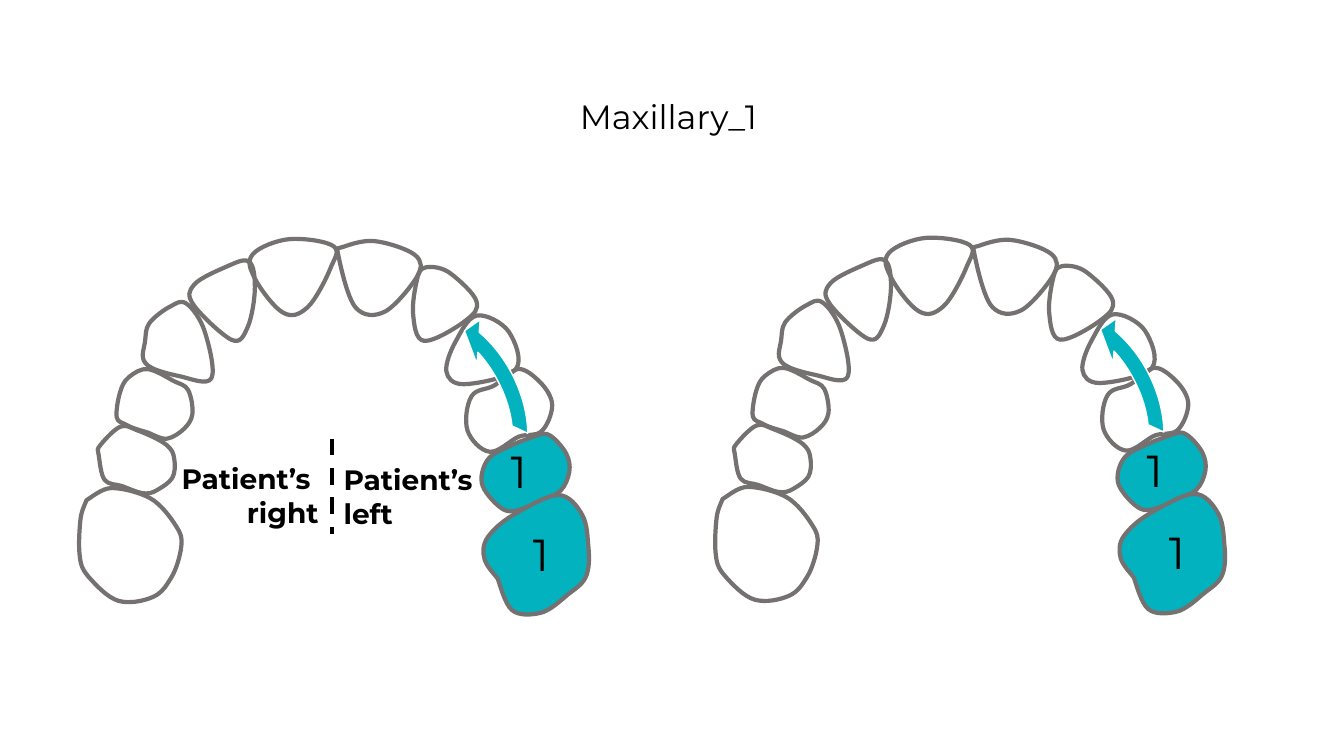
"""Build the Maxillary_1 slide: two upper dental arches with the left back teeth marked."""
from lxml.etree import Element, SubElement
from pptx import Presentation
from pptx.dml.color import RGBColor
from pptx.enum.dml import MSO_LINE_DASH_STYLE as Dash
from pptx.enum.shapes import MSO_CONNECTOR as Connector, MSO_SHAPE as Shape
from pptx.enum.text import MSO_ANCHOR as Anchor, MSO_AUTO_SIZE as AutoSize, PP_ALIGN as Align
from pptx.oxml.ns import qn
from pptx.util import Cm, Pt

COLOURS = {"ink": "000000", "outline": "767171", "marked": "02B2BE", "edge": "FFFFFF"}
HUNDREDTH_INCH = Cm(2.54) / 100

# Points that each smooth outline passes through, in hundredths of an inch from
# the arch's corner. A point given twice in a row is a sharp corner.
TEETH = {
    "left central incisor": [(271, 44), (267, 53), (284, 104), (313, 108), (345, 73),
                             (343, 52), (302, 38)],
    "left lateral incisor": [(345, 76), (341, 110), (352, 137), (393, 117), (404, 98),
                             (378, 70), (354, 64)],
    "left canine": [(374, 167), (383, 138), (404, 112), (436, 128), (443, 165), (391, 180)],
    "left first premolar": [(445, 165), (422, 181), (399, 192), (395, 226), (417, 247),
                            (446, 232), (468, 227), (479, 201), (467, 178)],
    "left second premolar": [(438, 241), (415, 255), (410, 281), (432, 305), (454, 302),
                             (468, 295), (487, 286), (496, 267), (493, 249), (477, 231),
                             (464, 231)],
    "left molar": [(440, 310), (415, 332), (412, 354), (425, 373), (425, 373), (439, 404),
                   (467, 407), (493, 390), (512, 372), (515, 342), (509, 310), (485, 290)],
    "right central incisor": [(262, 43), (259, 65), (236, 104), (212, 109), (184, 75),
                              (182, 51), (219, 36)],
    "right lateral incisor": [(124, 81), (123, 101), (161, 136), (177, 123), (184, 84),
                              (179, 59), (159, 62)],
    "right canine": [(75, 138), (73, 154), (82, 164), (109, 172), (141, 174), (134, 127),
                     (116, 100), (100, 103), (79, 120)],
    "right first premolar": [(50, 189), (59, 173), (78, 165), (102, 176), (118, 186),
                             (122, 210), (114, 224), (97, 234), (78, 228), (78, 228),
                             (58, 221), (47, 213)],
    "right second premolar": [(29, 250), (31, 240), (51, 222), (68, 226), (96, 240),
                              (104, 254), (102, 273), (87, 285), (72, 288), (52, 281),
                              (35, 275)],
    "right molar": [(10, 348), (19, 371), (49, 395), (83, 391), (101, 372), (111, 341),
                    (106, 321), (80, 293), (42, 283), (17, 295), (17, 295), (11, 314)],
}
MARKED_NUMBERS = {
    "left second premolar": (Cm(10.87), Cm(5.94)),
    "left molar": (Cm(11.43), Cm(8.03)),
}
ARCH_CORNERS = [(Cm(17.78), Cm(5.08)), (Cm(1.75), Cm(5.11))]
ARROW_BENDS = [0.107, 8.273, 189.005, 130.563, 0.152]
SIDE_LABELS = [
    (["Patient’s ", "right"], Cm(2.67), Cm(11.51), Cm(5.61), Align.RIGHT),
    (["Patient’s", "left"], Cm(8.41), Cm(11.53), Cm(3.91), Align.LEFT),
]
TITLE_PLACE = {"left": Cm(14.35), "top": Cm(2.29), "width": Cm(5.21), "height": Cm(1.27)}
TITLE_FONT = {"name": "Montserrat", "size": Pt(24), "bold": False}
NUMBER_FONT = {"name": "Montserrat", "size": Pt(32), "bold": False}
LABEL_FONT = {"name": "Montserrat", "size": Pt(20), "bold": True}
FRAME_FORMAT = {"word_wrap": True, "auto_size": AutoSize.SHAPE_TO_FIT_TEXT,
                "vertical_anchor": Anchor.TOP}


def colour(name):
    """Return the named colour."""
    return RGBColor.from_string(COLOURS[name])


def write(frame, lines, font_format, align):
    """Fill a text frame with formatted paragraphs."""
    for key, value in FRAME_FORMAT.items():
        setattr(frame, key, value)
    frame.text = "\n".join(lines)
    for paragraph in frame.paragraphs:
        paragraph.alignment = align
        font = paragraph.runs[0].font
        for key, value in font_format.items():
            setattr(font, key, value)
        font.color.rgb = colour("ink")


deck = Presentation()
deck.slide_width, deck.slide_height = Cm(33.87), Cm(19.05)
slide = deck.slides.add_slide(deck.slide_layouts[5])

title = slide.shapes.title
for key, value in TITLE_PLACE.items():
    setattr(title, key, value)
write(title.text_frame, ["Maxillary_1 "], TITLE_FONT, Align.CENTER)

for arch_left, arch_top in ARCH_CORNERS:
    arch = slide.shapes.add_group_shape().shapes

    for tooth_name, outline in TEETH.items():
        curve_points = []
        for index, start in enumerate(outline):
            before = outline[index - 1]
            end, after = [outline[(index + step) % len(outline)] for step in (1, 2)]
            if start != end:
                leaving = [s + (e - b) / 6 for s, e, b in zip(start, end, before)]
                arriving = [e - (a - s) / 6 for e, a, s in zip(end, after, start)]
                curve_points += [leaving, arriving, end]

        builder = arch.build_freeform(*outline[0], scale=HUNDREDTH_INCH)
        builder.add_line_segments(curve_points, close=True)
        tooth = builder.convert_to_shape(arch_left, arch_top)
        segments = list(tooth._element.iter(qn("a:lnTo")))
        for first in range(0, len(segments), 3):
            curve = Element(qn("a:cubicBezTo"))
            segments[first].addprevious(curve)
            for segment in segments[first:first + 3]:
                curve.append(segment[0])
                segment.getparent().remove(segment)

        tooth.shadow.inherit = False
        tooth.line.color.rgb, tooth.line.width = colour("outline"), Pt(3)
        if tooth_name in MARKED_NUMBERS:
            tooth.fill.solid()
            tooth.fill.fore_color.rgb = colour("marked")
        else:
            tooth.fill.background()

    for number_left, number_top in MARKED_NUMBERS.values():
        number = arch.add_textbox(arch_left + number_left, arch_top + number_top,
                                  Cm(1.65), Cm(1.63))
        write(number.text_frame, ["1"], NUMBER_FONT, Align.LEFT)

    arrow = arch.add_shape(Shape.CIRCULAR_ARROW, arch_left + Cm(7.09), arch_top + Cm(3.15),
                           Cm(5.49), Cm(3.71))
    for index, bend in enumerate(ARROW_BENDS):
        arrow.adjustments[index] = bend
    arrow.rotation = 62.7
    arrow._element.spPr.find(qn("a:xfrm")).set("flipH", "1")
    arrow.shadow.inherit = False
    arrow.fill.solid()
    arrow.fill.fore_color.rgb = colour("marked")
    arrow.line.color.rgb, arrow.line.width = colour("edge"), Pt(1)

for lines, left, top, width, align in SIDE_LABELS:
    side_label = slide.shapes.add_textbox(left, top, width, Cm(1.96))
    write(side_label.text_frame, lines, LABEL_FONT, align)

midline = slide.shapes.add_connector(Connector.STRAIGHT, Cm(8.36), Cm(11.05), Cm(8.36), Cm(13.46))
midline.line.color.rgb, midline.line.width = colour("ink"), Pt(3)
midline.line.dash_style = Dash.DASH
SubElement(midline._element.spPr, qn("a:effectLst"))

deck.save("out.pptx")
